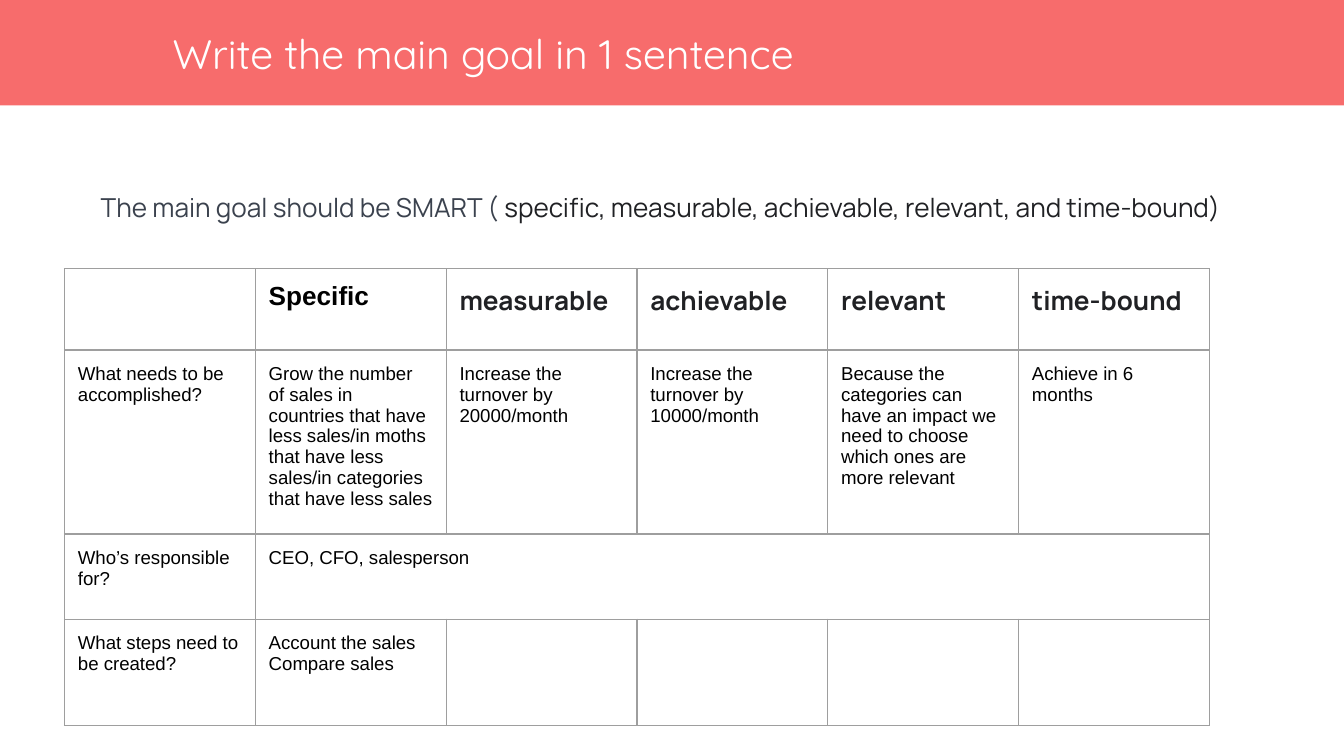
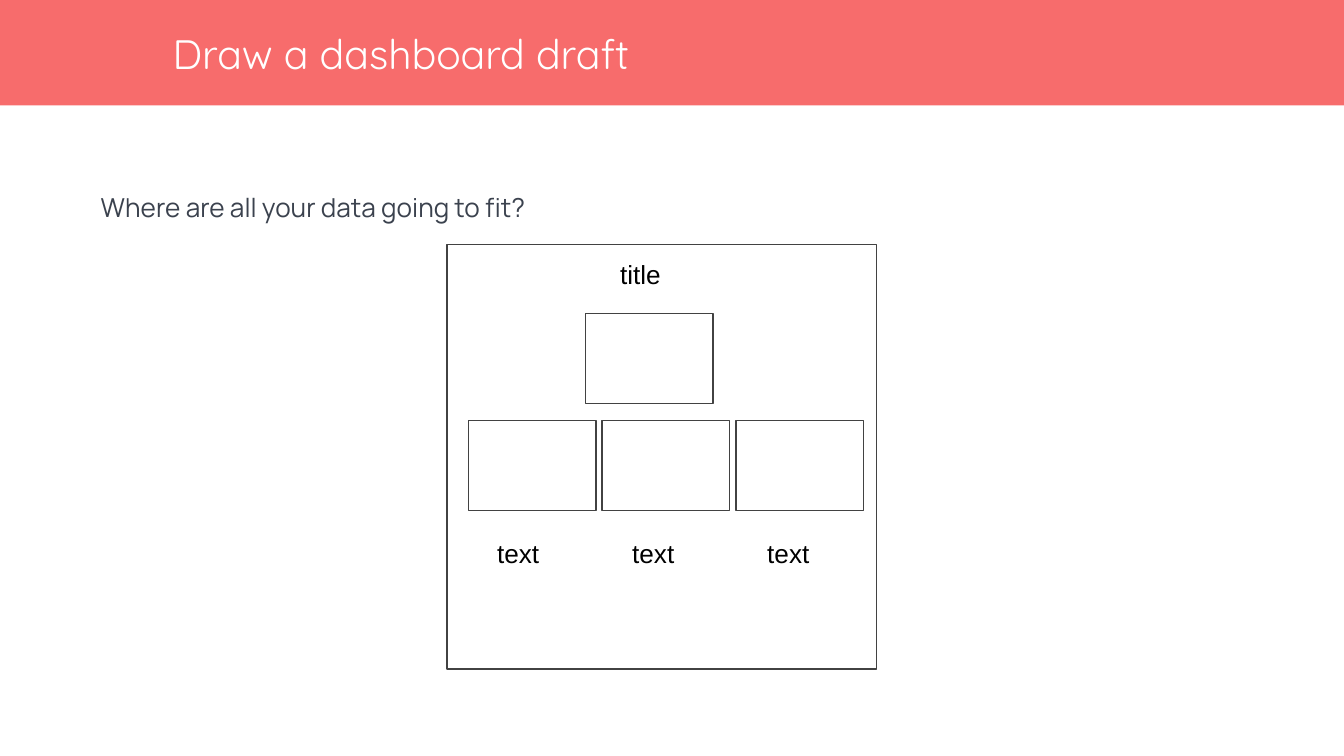
from pptx import Presentation
from pptx.dml.color import RGBColor
from pptx.enum.shapes import MSO_SHAPE
from pptx.enum.text import MSO_ANCHOR
from pptx.oxml.ns import qn
from pptx.util import Pt
from lxml.etree import SubElement

PX = 4572
SIZE = (2000, 1125)
HUES = {"band": "F76C6C", "white": "FFFFFF", "slate": "3B424E", "ink": "202124",
        "black": "000000", "grid": "9E9E9E", "edge": "424242"}

GOAL = {
    "title": "Write the main goal in 1 sentence",
    "lead": [("The main goal should be SMART (", "slate"),
             (" specific, measurable, achievable, relevant, and time-bound)", "ink")],
}
HEADS = ["", "Specific", "measurable", "achievable", "relevant", "time-bound"]
ROWS = [
    ["What needs to be accomplished?",
     "Grow the number of sales in countries that have less sales/in moths "
     "that have less sales/in categories that have less sales",
     "Increase the turnover by 20000/month",
     "Increase the turnover by 10000/month",
     "Because the categories can have an impact we need to choose which ones are more relevant",
     "Achieve in 6 months"],
    ["Who’s responsible for?", "CEO, CFO, salesperson", "", "", "", ""],
    ["What steps need to be created?", "Account the sales\nCompare sales", "", "", "", ""],
]
TALLS = [121, 258, 127, 158]
WIDE = 284

DRAFT = {
    "title": "Draw a dashboard draft",
    "lead": [("Where are all your data going to fit?", "slate")],
}
FRAME = (665, 364, 639, 632)
TILE = (190, 134)
TOP_TILE = (871, 467)
LABEL = (124, 88)
LABELS = ["text", "text", "text"]


def paint(hue):
    return RGBColor.from_string(HUES[hue])


def write(frame, text, font="Arial", size=14, hue="black", bold=False,
          inset=20, anchor=MSO_ANCHOR.TOP):
    frame.word_wrap = True
    frame.vertical_anchor = anchor
    frame.margin_left = frame.margin_right = inset * PX
    frame.margin_top = frame.margin_bottom = inset * PX
    lines = [[(line, hue)] for line in text.split("\n")] if isinstance(text, str) else [text]
    for at, line in enumerate(lines):
        para = frame.add_paragraph() if at else frame.paragraphs[0]
        for words, tint in line:
            run = para.add_run()
            run.text = words
            run.font.name = font
            run.font.size = Pt(size)
            run.font.bold = bold
            run.font.color.rgb = paint(tint)


def label(slide, text, box, **style):
    area = slide.shapes.add_textbox(*(n * PX for n in box))
    write(area.text_frame, text, **style)


def block(slide, box, fill="white", line="edge"):
    shape = slide.shapes.add_shape(MSO_SHAPE.RECTANGLE, *(n * PX for n in box))
    shape.shadow.inherit = False
    shape.fill.solid()
    shape.fill.fore_color.rgb = paint(fill)
    if line:
        shape.line.color.rgb = paint(line)
        shape.line.width = Pt(0.75)
    else:
        shape.line.fill.background()


def start(deck, page):
    slide = deck.slides.add_slide(deck.slide_layouts[6])
    block(slide, (-4, 0, 2008, 157), fill="band", line=None)
    label(slide, page["title"], (257, 0, 1566, 157), font="Quicksand", size=22,
          hue="white", inset=0, anchor=MSO_ANCHOR.MIDDLE)
    label(slide, page["lead"], (150, 285, 1706, 744), font="Manrope", inset=0)
    return slide


def outline(cell):
    props = cell._tc.get_or_add_tcPr()
    for side in ("a:lnL", "a:lnR", "a:lnT", "a:lnB"):
        edge = SubElement(props, qn(side), w=str(Pt(0.75)))
        fill = SubElement(edge, qn("a:solidFill"))
        SubElement(fill, qn("a:srgbClr"), val=HUES["grid"])


def fill_grid(slide):
    cols = len(HEADS)
    grid = slide.shapes.add_table(len(TALLS), cols, 96 * PX, 400 * PX,
                                  cols * WIDE * PX, sum(TALLS) * PX).table
    grid.first_row = grid.horz_banding = False
    for col in grid.columns:
        col.width = WIDE * PX
    for r, (tall, row) in enumerate(zip(TALLS, [HEADS] + ROWS)):
        grid.rows[r].height = tall * PX
        for c, text in enumerate(row):
            cell = grid.cell(r, c)
            outline(cell)
            cell.fill.background()
            cell.margin_left = cell.margin_right = 20 * PX
            cell.margin_top = cell.margin_bottom = 20 * PX
            if not text:
                continue
            if r:
                style = {"size": 10}
            elif c == 1:
                style = {"bold": True}
            else:
                style = {"bold": True, "font": "Manrope", "hue": "ink"}
            write(cell.text_frame, text, **style)
    grid.cell(2, 1).merge(grid.cell(2, cols - 1))


def draw_draft(slide):
    block(slide, FRAME)
    label(slide, "title", (903, 364) + LABEL)
    block(slide, TOP_TILE + TILE)
    for at, text in enumerate(LABELS):
        block(slide, (697 + at * 199, 626) + TILE)
        label(slide, text, (720 + at * 201, 780) + LABEL)


def main():
    deck = Presentation()
    deck.slide_width, deck.slide_height = (n * PX for n in SIZE)
    fill_grid(start(deck, GOAL))
    draw_draft(start(deck, DRAFT))
    deck.save("out.pptx")


if __name__ == "__main__":
    main()
